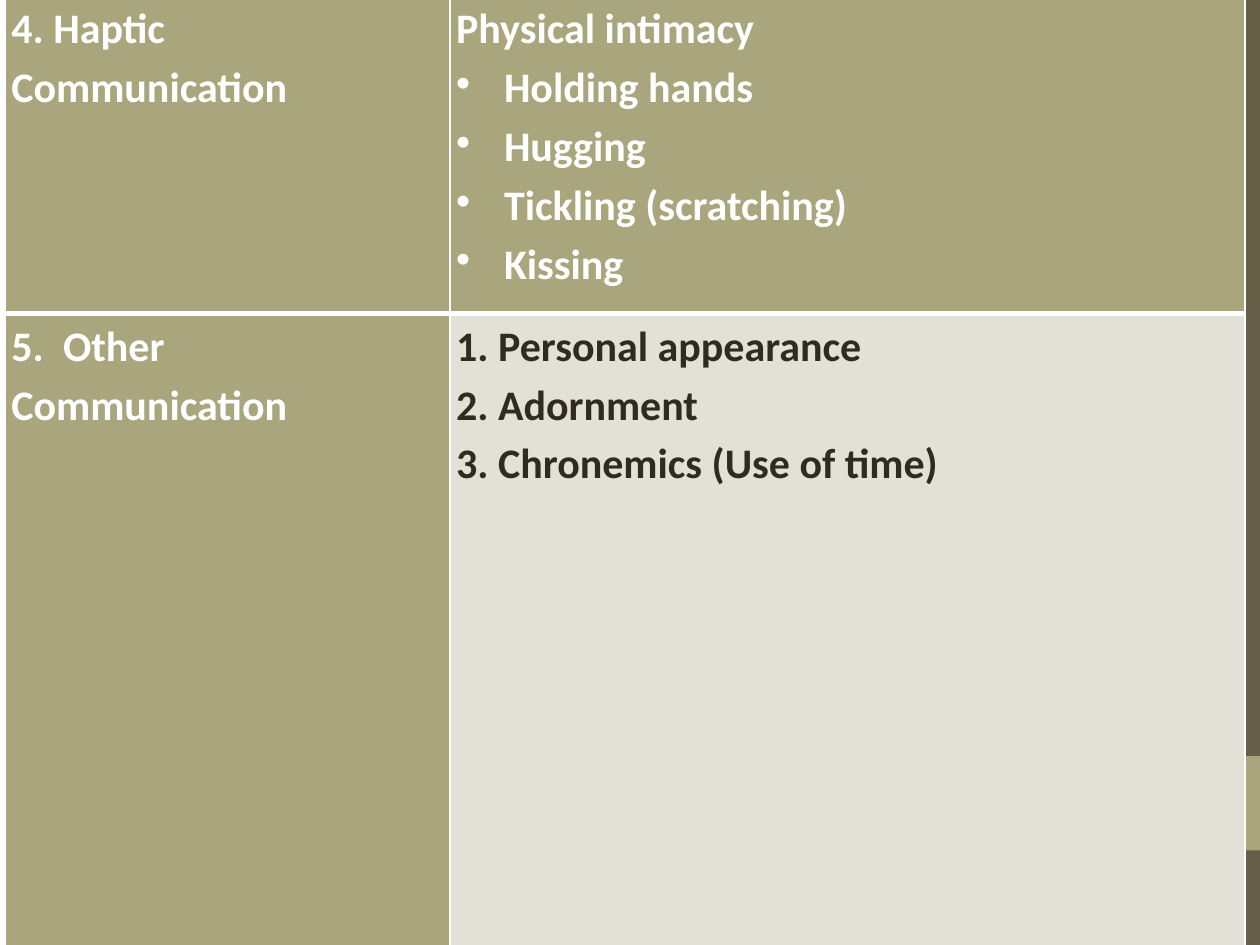
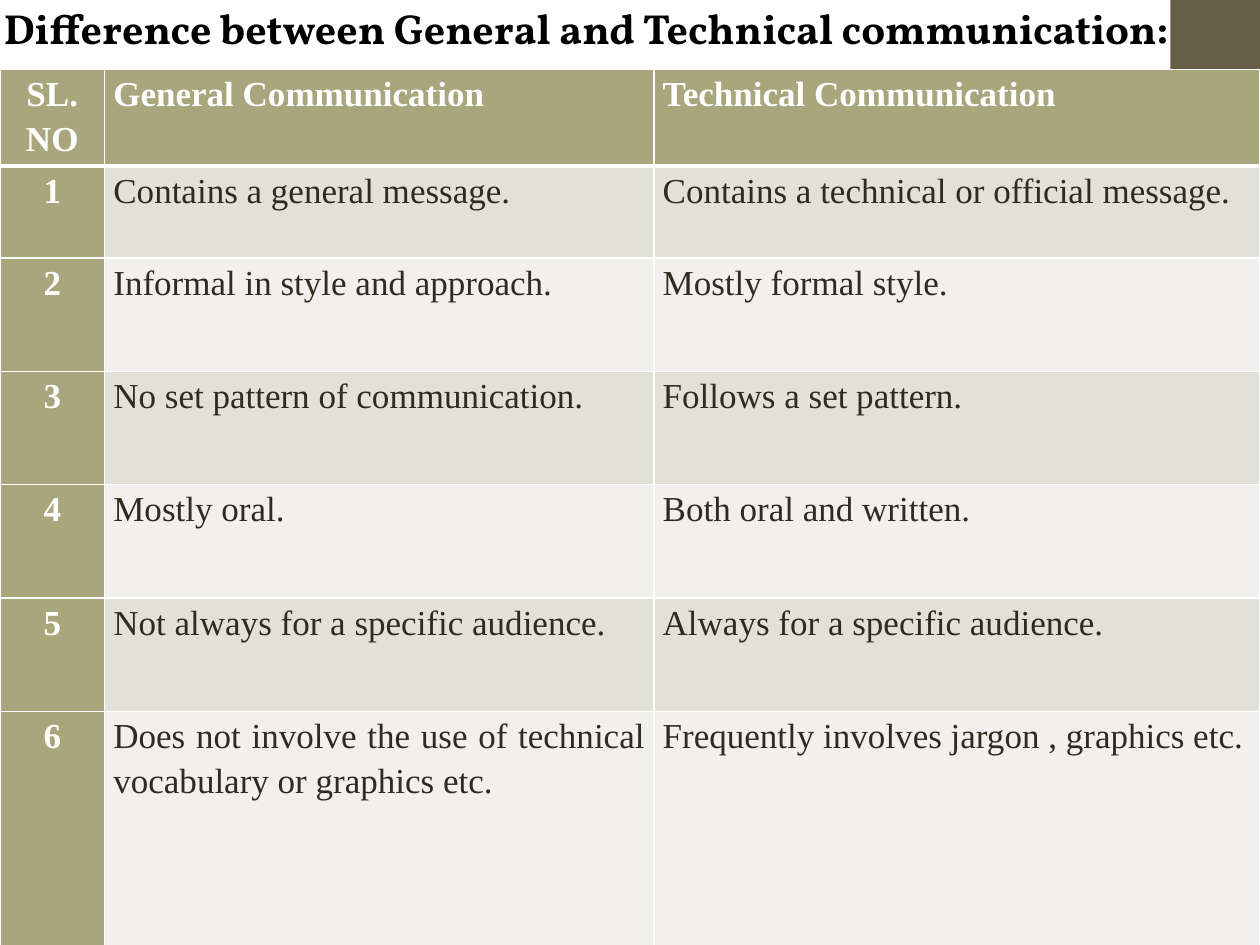
from pptx import Presentation
from pptx.dml.color import RGBColor
from pptx.enum.shapes import MSO_SHAPE
from pptx.enum.text import MSO_ANCHOR, MSO_AUTO_SIZE, PP_ALIGN
from pptx.oxml import parse_xml
from pptx.oxml.ns import nsdecls, qn
from pptx.util import Inches, Pt

WHITE = RGBColor(0xFF, 0xFF, 0xFF)
BLACK = RGBColor(0x00, 0x00, 0x00)
GREY = RGBColor(0xDA, 0xDA, 0xDA)
BROWN = RGBColor(0x67, 0x5E, 0x47)
OLIVE = RGBColor(0xA9, 0xA5, 0x7C)
INK = RGBColor(0x2F, 0x2B, 0x20)
BAND_DARK = RGBColor(0xE2, 0xE1, 0xD7)
BAND_LIGHT = RGBColor(0xF1, 0xF0, 0xEC)

BULLET = "• "
NUMBER_TAB = 0.41

TYPES = [
    [["4. Haptic Communication"],
     ["Physical intimacy", "• Holding hands", "• Hugging",
      "• Tickling (scratching)", "• Kissing"]],
    [["5.\tOther Communication"],
     ["1. Personal appearance", "2. Adornment", "3. Chronemics (Use of time)"]],
]

DIFFERENCES = [
    ("Contains a general message.", "Contains a technical or official message."),
    ("Informal in style and approach.", "Mostly formal style."),
    ("No set pattern of communication.", "Follows a set pattern."),
    ("Mostly oral.", "Both oral and written."),
    ("Not always for a specific audience.", "Always for a specific audience."),
    ("Does not involve the use of technical vocabulary or graphics etc.",
     "Frequently involves jargon , graphics etc."),
]


def write(paragraph, text, *, font, size, color, bold=True,
          align=PP_ALIGN.LEFT, spacing=1.0, after=0):
    """Fill a paragraph with formatted text, bulleted if it starts with a bullet."""
    paragraph.alignment = align
    paragraph.line_spacing = spacing
    paragraph.space_before = Pt(0)
    paragraph.space_after = Pt(after)
    properties = paragraph._p.get_or_add_pPr()
    tab = NUMBER_TAB
    if text.startswith(BULLET):
        properties.set("marL", str(Inches(0.38)))
        properties.set("indent", str(-Inches(0.38)))
        properties.append(parse_xml(f'<a:buChar {nsdecls("a")} char="•"/>'))
        tab = 0.5
    if text.startswith(BULLET) or "\t" in text:
        properties.append(parse_xml(
            f'<a:tabLst {nsdecls("a")}><a:tab pos="{Inches(tab)}" algn="l"/></a:tabLst>'))
    run = paragraph.add_run()
    run.text = text.removeprefix(BULLET)
    run.font.name, run.font.size = font, Pt(size)
    run.font.bold, run.font.color.rgb = bold, color


def set_borders(cell, top, bottom):
    """Draw white cell borders with the given top and bottom widths."""
    properties = cell._tc.get_or_add_tcPr()
    widths = {"lnL": 1, "lnR": 1, "lnT": top, "lnB": bottom}
    for position, (side, width) in enumerate(widths.items()):
        properties.insert(position, parse_xml(
            f'<a:{side} {nsdecls("a")} w="{Pt(width)}"><a:solidFill>'
            f'<a:srgbClr val="{WHITE}"/></a:solidFill></a:{side}>'))


def add_grid(slide, box, widths, heights, rows, *, margin, font, size,
             body_bold=False, aligns=None, after=0):
    """Add a table with an olive header row and first column and banded body."""
    table = slide.shapes.add_table(
        len(rows), len(widths), *(Inches(length) for length in box)).table
    table.horz_banding = False
    for column, width in zip(table.columns, widths):
        column.width = Inches(width)
    for r, (row, height, contents) in enumerate(zip(table.rows, heights, rows)):
        row.height = Inches(height)
        for c, (cell, lines) in enumerate(zip(row.cells, contents)):
            heading = r == 0 or c == 0
            cell.margin_left = cell.margin_right = Inches(margin)
            cell.margin_top = cell.margin_bottom = 0
            cell.fill.solid()
            cell.fill.fore_color.rgb = (
                OLIVE if heading else BAND_DARK if r % 2 else BAND_LIGHT)
            set_borders(cell, top=3 if r == 1 else 1, bottom=3 if r == 0 else 1)
            frame = cell.text_frame
            for i, line in enumerate(lines):
                paragraph = frame.add_paragraph() if i else frame.paragraphs[0]
                write(paragraph, line, font=font, size=size, spacing=1.15,
                      color=WHITE if heading else INK, bold=heading or body_bold,
                      align=aligns[c] if aligns else PP_ALIGN.LEFT,
                      after=after if r else 0)


def style_master(master, slide):
    """Give the master its gradient background and the two right-hand bands."""
    common = master.element.cSld
    common.remove(common.find(qn("p:bg")))
    stops = "".join(
        f'<a:gs pos="{percent * 1000}"><a:srgbClr val="{color}"/></a:gs>'
        for percent, color in ((0, WHITE), (75, WHITE), (100, GREY)))
    common.insert(0, parse_xml(
        f'<p:bg {nsdecls("p", "a")}><p:bgPr><a:gradFill rotWithShape="1">'
        f'<a:gsLst>{stops}</a:gsLst><a:path path="circle">'
        '<a:fillToRect l="20000" t="50000" r="100000" b="50000"/></a:path>'
        '</a:gradFill><a:effectLst/></p:bgPr></p:bg>'))
    for position, (top, height, color) in enumerate(((0, 7.5, BROWN), (6, 0.75, OLIVE))):
        band = slide.shapes.add_shape(
            MSO_SHAPE.RECTANGLE, Inches(9.25), Inches(top), Inches(0.75), Inches(height))
        band.shadow.inherit = False
        band.fill.solid()
        band.fill.fore_color.rgb = color
        band.line.fill.background()
        master.shapes.element.insert(2 + position, band.element)


def set_title(slide, box, text):
    """Place the title placeholder on a white strip and write its text."""
    title = slide.shapes.title
    title.left, title.top, title.width, title.height = (Inches(length) for length in box)
    title.fill.solid()
    title.fill.fore_color.rgb = WHITE
    frame = title.text_frame
    frame.margin_left = frame.margin_top = frame.margin_right = frame.margin_bottom = 0
    frame.vertical_anchor = MSO_ANCHOR.MIDDLE
    frame.word_wrap = False
    frame.auto_size = MSO_AUTO_SIZE.SHAPE_TO_FIT_TEXT
    write(frame.paragraphs[0], text, font="Vollkorn", size=24, color=BLACK)


def fill_types(slide, box):
    """Build the table of communication types."""
    add_grid(slide, box, (3.53, 6.31), (2.52, 5.04), TYPES,
             margin=0.05, font="Calibri", size=24, body_bold=True)


def fill_differences(slide, box):
    """Build the titled comparison of general and technical communication."""
    set_title(slide, (0.03, 0.02, 9.26, 0.4),
              "Difference between General and Technical communication:")
    header = [["SL.", "NO"], ["General Communication"], ["Technical Communication"]]
    rows = [header] + [[[str(number)], [general], [technical]]
                       for number, (general, technical) in enumerate(DIFFERENCES, 1)]
    add_grid(slide, box, (0.83, 4.36, 4.81), (0.68, 0.73, *[0.9] * 4, 1.86), rows,
             margin=0.07, font="Times New Roman", size=20, after=10,
             aligns=(PP_ALIGN.CENTER, PP_ALIGN.JUSTIFY, PP_ALIGN.JUSTIFY))


def main():
    """Build both slides and save the presentation."""
    deck = Presentation()
    deck.slide_width, deck.slide_height = Inches(10), Inches(7.5)
    title_only, blank = deck.slide_layouts[5], deck.slide_layouts[6]
    types_slide = deck.slides.add_slide(blank)
    style_master(deck.slide_master, types_slide)
    fill_types(types_slide, (0.04, -0.03, 9.84, 7.56))
    fill_differences(deck.slides.add_slide(title_only), (0, 0.55, 10, 6.95))
    deck.save("out.pptx")


if __name__ == "__main__":
    main()
